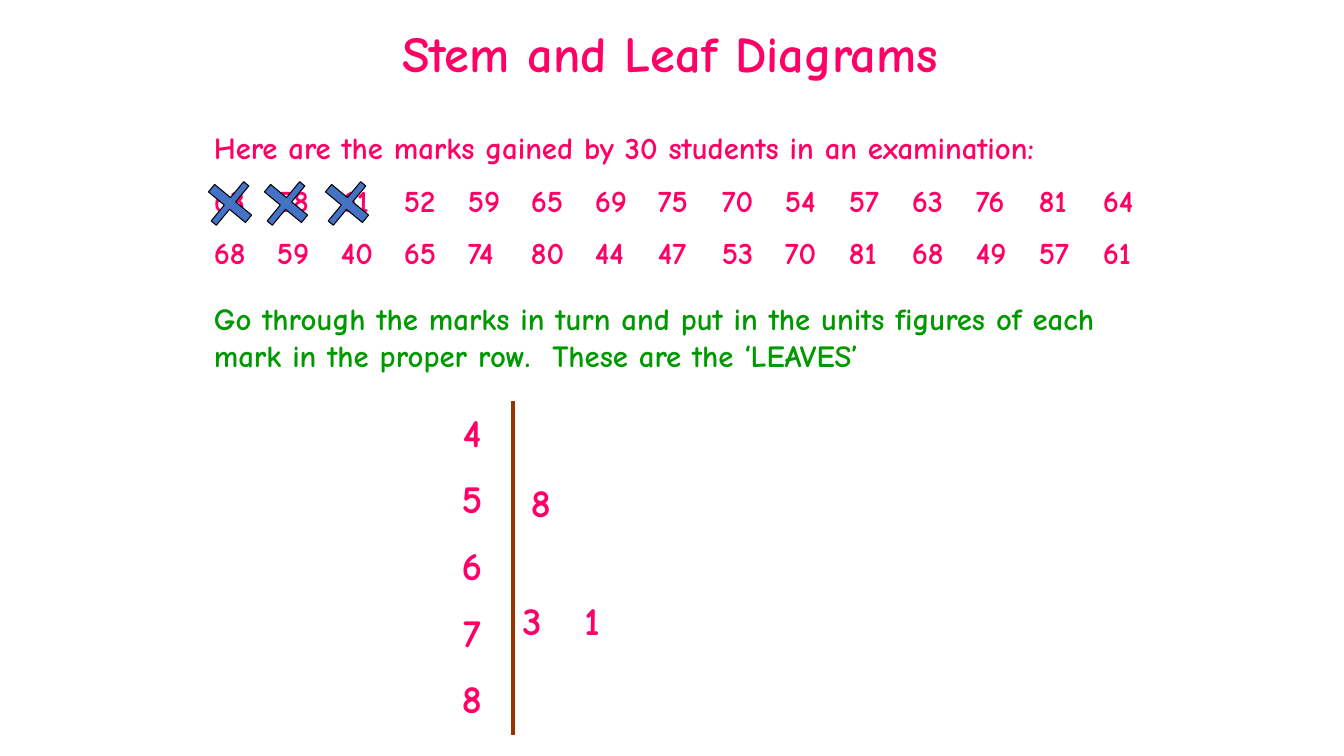
from dataclasses import dataclass

from lxml import etree
from pptx import Presentation
from pptx.dml.color import RGBColor
from pptx.enum.shapes import MSO_CONNECTOR, MSO_SHAPE
from pptx.enum.text import MSO_ANCHOR as Anchor, MSO_AUTO_SIZE as AutoSize, PP_ALIGN as Align
from pptx.oxml.ns import qn
from pptx.slide import Slide
from pptx.util import Emu, Pt

PINK = RGBColor(0xFF, 0x00, 0x66)
GREEN = RGBColor(0x00, 0x99, 0x00)
BROWN = RGBColor(0x99, 0x33, 0x00)
BLUE = RGBColor(0x44, 0x72, 0xC4)
BLACK = RGBColor(0x00, 0x00, 0x00)
FONT = "Comic Neue"
MARKS_SPAN = 889


def px(n: int) -> Emu:
    return Emu(round(n * 914400 / 100.8))


@dataclass(frozen=True)
class Box:
    left: int
    top: int
    width: int
    height: int
    lines: tuple[str, ...]
    size: int
    color: RGBColor = PINK
    align: Align = Align.LEFT

    def frame(self) -> tuple[Emu, ...]:
        return tuple(px(n) for n in (self.left, self.top, self.width, self.height))


@dataclass(frozen=True)
class Cross:
    left: int
    top: int = 178
    width: int = 48
    height: int = 51


def digits(left: int, top: int, height: int, *lines: str) -> Box:
    return Box(left, top, 60, height, lines, 28, align=Align.CENTER)


MARKS = (
    (63, 58, 61, 52, 59, 65, 69, 75, 70, 54, 57, 63, 76, 81, 64),
    (68, 59, 40, 65, 74, 80, 44, 47, 53, 70, 81, 68, 49, 57, 61),
)
TITLE = Box(392, 17, 756, 71, ("Stem and Leaf Diagrams",), 36)
BOXES = (
    Box(204, 124, 973, 214,
        ("Here are the marks gained by 30 students in an examination:",
         *("\t".join(map(str, row)) for row in MARKS)), 22),
    Box(204, 295, 973, 84,
        ("Go through the marks in turn and put in the units figures of each "
         "mark in the proper row.  These are the ‘LEAVES’",), 22, GREEN),
    digits(442, 403, 340, *"45678"),
    digits(511, 473, 56, "8"),
    digits(502, 591, 56, "3"),
    digits(562, 591, 56, "1"),
)
CROSSES = (Cross(206), Cross(262), Cross(323))


def add_tabs(p) -> None:
    tabs = etree.SubElement(p._p.get_or_add_pPr(), qn("a:tabLst"))
    steps = len(MARKS[0]) - 1
    for k in range(1, steps + 1):
        etree.SubElement(tabs, qn("a:tab"), pos=str(px(MARKS_SPAN * k // steps)), algn="l")


def write(tf, box: Box) -> None:
    for name, value in {"word_wrap": True, "auto_size": AutoSize.NONE,
                        "vertical_anchor": Anchor.TOP}.items():
        setattr(tf, name, value)
    for i, line in enumerate(box.lines):
        p = tf.paragraphs[0] if i == 0 else tf.add_paragraph()
        p.alignment = box.align
        p.space_before = Pt(box.size / 2 if i else 0)
        if "\t" in line:
            add_tabs(p)
        r = p.add_run()
        r.text = line
        for name, value in {"name": FONT, "size": Pt(box.size), "bold": True}.items():
            setattr(r.font, name, value)
        r.font.color.rgb = box.color


def add_title(s: Slide, box: Box) -> None:
    sp = s.shapes.title
    for name, value in zip(("left", "top", "width", "height"), box.frame()):
        setattr(sp, name, value)
    write(sp.text_frame, box)


def add_box(s: Slide, box: Box) -> None:
    write(s.shapes.add_textbox(*box.frame()).text_frame, box)


def add_stem_line(s: Slide) -> None:
    line = s.shapes.add_connector(MSO_CONNECTOR.STRAIGHT, px(513), px(401), px(513), px(735))
    line.line.color.rgb = BROWN
    line.line.width = Pt(2.25)
    etree.SubElement(line._element.spPr, qn("a:effectLst"))


def add_cross(s: Slide, cross: Cross) -> None:
    sp = s.shapes.add_shape(MSO_SHAPE.CROSS, px(cross.left), px(cross.top),
                            px(cross.width), px(cross.height))
    sp.adjustments[0] = 0.43
    sp.rotation = 39.6
    sp.shadow.inherit = False
    sp.fill.solid()
    sp.fill.fore_color.rgb = BLUE
    sp.line.color.rgb = BLACK
    sp.line.width = Pt(0.75)


def main() -> None:
    prs = Presentation()
    prs.slide_width, prs.slide_height = px(1344), px(756)
    s = prs.slides.add_slide(prs.slide_layouts.get_by_name("Title Only"))
    add_title(s, TITLE)
    add_stem_line(s)
    for box in BOXES:
        add_box(s, box)
    for cross in CROSSES:
        add_cross(s, cross)
    prs.save("out.pptx")


if __name__ == "__main__":
    main()
